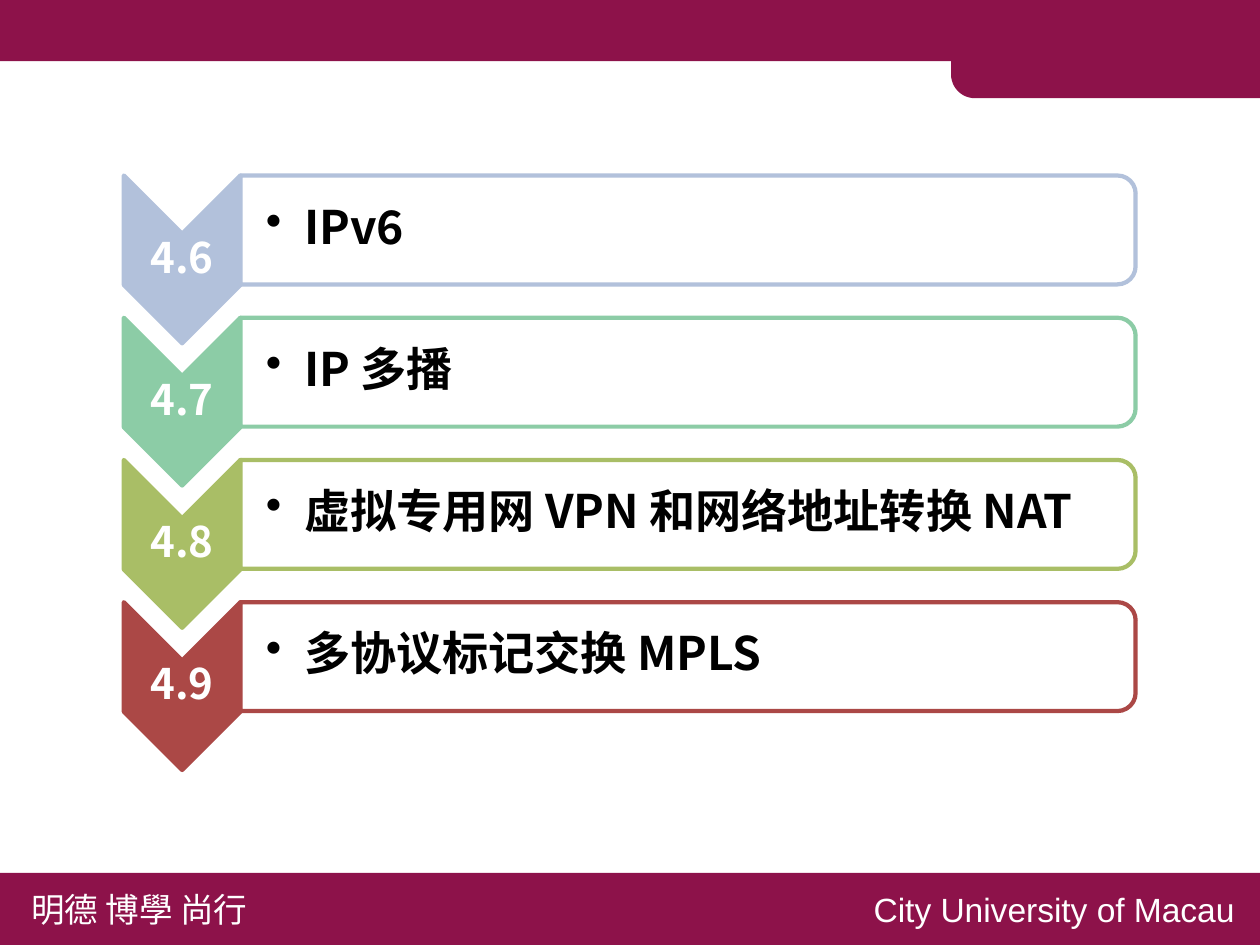
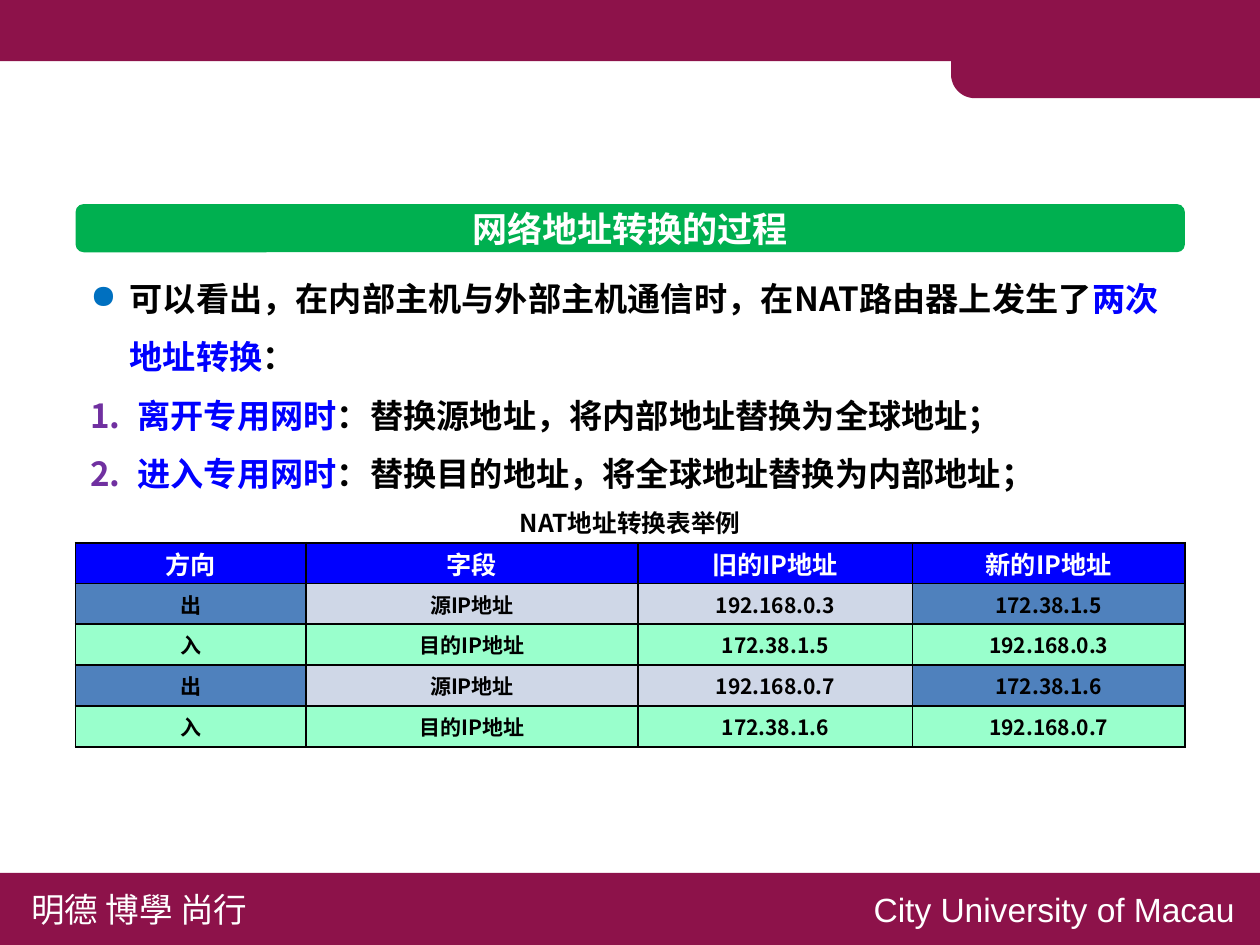
from lxml import etree
from pptx import Presentation
from pptx.dml.color import RGBColor
from pptx.enum.shapes import MSO_SHAPE
from pptx.enum.text import MSO_ANCHOR, PP_ALIGN
from pptx.oxml import parse_xml
from pptx.oxml.ns import nsdecls, qn
from pptx.util import Cm, Pt

RECT = MSO_SHAPE.RECTANGLE
ROUNDED = MSO_SHAPE.ROUNDED_RECTANGLE
TWO_ROUNDED = MSO_SHAPE.ROUND_2_SAME_RECTANGLE
CHEVRON = MSO_SHAPE.CHEVRON
LEFT, CENTER = PP_ALIGN.LEFT, PP_ALIGN.CENTER
MIDDLE = MSO_ANCHOR.MIDDLE

CJK_FONT = "Noto Sans CJK SC"
COLORS = {
    "brand": "8D124A", "white": "FFFFFF", "black": "000000",
    "key": "0000FF", "bullet": "0070C0", "number": "7030A0", "heading": "00B050",
    "ipv6": "B2C1DB", "multicast": "8CCCA6", "nat": "A9BE66", "mpls": "AB4846",
    "out_edge": "4F81BD", "out_middle": "CFD7E7", "in": "99FFCC",
}
RGB = {name: RGBColor.from_string(value) for name, value in COLORS.items()}


def add_panel(slide, preset, box, fill, line=None, rotation=0, adjustments=()):
    """Add a filled shape; box is what it covers, in cm, after a quarter turn too."""
    left, top, width, height = box
    if rotation:
        left, top = left + (width - height) / 2, top + (height - width) / 2
        width, height = height, width
    panel = slide.shapes.add_shape(preset, Cm(left), Cm(top), Cm(width), Cm(height))
    panel.rotation = rotation
    panel.shadow.inherit = False
    for index, value in enumerate(adjustments):
        panel.adjustments[index] = value
    panel.fill.solid()
    panel.fill.fore_color.rgb = RGB[fill]
    if line:
        panel.line.color.rgb = RGB[line]
        panel.line.width = Pt(2)
    else:
        panel.line.fill.background()
    return panel


def write(frame, spans, size, align=LEFT, bold=True, font=CJK_FONT,
          spacing=None, bullet=None):
    """Add a paragraph of (text, colour) spans; bullet is (indent in cm, colour, XML)."""
    frame.word_wrap = True
    paragraph = frame.paragraphs[0]
    if paragraph.runs:
        paragraph = frame.add_paragraph()
    properties = paragraph._p.get_or_add_pPr()
    if bullet:
        indent, color, mark = bullet
        properties.set("marL", str(Cm(indent)))
        properties.set("indent", str(-Cm(indent)))
        properties.append(parse_xml(
            f'<a:buClr {nsdecls("a")}><a:srgbClr val="{COLORS[color]}"/></a:buClr>'))
        properties.append(parse_xml(mark))
    paragraph.alignment = align
    if spacing:
        paragraph.line_spacing = spacing
    paragraph.font.size = Pt(size)
    paragraph.font.bold = bold
    paragraph.font.name = font
    etree.SubElement(properties.get_or_add_defRPr(), qn("a:ea")).set("typeface", font)
    for text, color in spans:
        run = paragraph.add_run()
        run.text = text
        run.font.color.rgb = RGB[color]


prs = Presentation()
prs.slide_width, prs.slide_height = Cm(21.17), Cm(15.88)
blank = prs.slide_layouts[6]
outline, process = [prs.slides.add_slide(blank) for _ in range(2)]

# Shared bands and footer, moved to the slide master
add_panel(outline, RECT, (-0.03, -0.03, 21.21, 1.06), "brand")
add_panel(outline, TWO_ROUNDED, (15.98, 0.05, 5.21, 1.6), "brand",
          rotation=270, adjustments=(0.25, 0))
add_panel(outline, RECT, (-0.05, 14.67, 21.25, 1.25), "brand")
for text, font, left, width in [("明德 博學 尚行", CJK_FONT, 0.28, 4.27),
                                ("City University of Macau", "Arial", 14.43, 6.65)]:
    footer = outline.shapes.add_textbox(Cm(left), Cm(14.81), Cm(width), Cm(0.94))
    write(footer.text_frame, [(text, "white")], 16, bold=False, font=font)
for number, shared in enumerate(list(outline.shapes), start=101):
    shared.element.nvSpPr.cNvPr.set("id", str(number))
    prs.slide_master.shapes.element.append(shared.element)

# Slide 1: chapter sections
DOT = f'<a:buChar {nsdecls("a")} char="•"/>'
SECTIONS = [
    ("4.6", "IPv6", "ipv6"),
    ("4.7", "IP 多播", "multicast"),
    ("4.8", "虚拟专用网 VPN 和网络地址转换 NAT", "nat"),
    ("4.9", "多协议标记交换 MPLS", "mpls"),
]
for index, (number, topic, color) in enumerate(SECTIONS):
    top = 2.95 + 2.39 * index
    add_panel(outline, CHEVRON, (2.08, top, 1.96, 2.82), color, color, 90, (0.5,))
    add_panel(outline, TWO_ROUNDED, (4.04, top, 15.04, 1.83), "white", color, 90,
              (0.167, 0))
    for text, text_color, box, size, margins, align, bullet in [
        (number, "white", (2.08, top + 0.99, 1.96, 0.84), 20, (0.03, 0.03), CENTER, None),
        (topic, "black", (4.04, top + 0.08, 14.94, 1.65), 22, (0.43, 0.05), LEFT,
         (0.64, "black", DOT)),
    ]:
        frame = outline.shapes.add_textbox(*map(Cm, box)).text_frame
        frame.vertical_anchor = MIDDLE
        frame.margin_left = Cm(margins[0])
        frame.margin_right = frame.margin_top = frame.margin_bottom = Cm(margins[1])
        write(frame, [(text, text_color)], size, align, spacing=0.9, bullet=bullet)

# Slide 2: address translation
LEFT_EDGE, CONTENT_WIDTH = 1.27, 18.64
heading = add_panel(process, ROUNDED, (LEFT_EDGE, 3.43, CONTENT_WIDTH, 0.81), "heading",
                    adjustments=(0.167,)).text_frame
heading.vertical_anchor = MIDDLE
heading.margin_top = heading.margin_bottom = 0
write(heading, [("网络地址转换的过程", "white")], 16.7, CENTER)

body = process.shapes.add_textbox(
    Cm(LEFT_EDGE), Cm(4.24), Cm(CONTENT_WIDTH), Cm(4.24)).text_frame
BALL = (0.66, "bullet", f'<a:buChar {nsdecls("a")} char="●"/>')
STEP = (0.79, "number", f'<a:buAutoNum {nsdecls("a")} type="arabicPeriod"/>')
for bullet, spans in [
    (BALL, [("可以看出，在内部主机与外部主机通信时，在NAT路由器上发生了", "black"),
            ("两次地址转换", "key"), ("：", "black")]),
    (STEP, [("离开专用网时", "key"),
            ("：替换源地址，将内部地址替换为全球地址；", "black")]),
    (STEP, [("进入专用网时", "key"),
            ("：替换目的地址，将全球地址替换为内部地址；", "black")]),
]:
    write(body, spans, 15.8, spacing=1.47, bullet=bullet)

caption = process.shapes.add_textbox(
    Cm(LEFT_EDGE), Cm(8.41), Cm(CONTENT_WIDTH), Cm(0.76))
write(caption.text_frame, [("NAT地址转换表举例", "black")], 11.7, CENTER)

HEADER_FILLS = ["key"] * 4
OUT_FILLS = ["out_edge", "out_middle", "out_middle", "out_edge"]
IN_FILLS = ["in"] * 4
TRANSLATIONS = [
    (HEADER_FILLS, ["方向", "字段", "旧的IP地址", "新的IP地址"]),
    (OUT_FILLS, ["出", "源IP地址", "192.168.0.3", "172.38.1.5"]),
    (IN_FILLS, ["入", "目的IP地址", "172.38.1.5", "192.168.0.3"]),
    (OUT_FILLS, ["出", "源IP地址", "192.168.0.7", "172.38.1.6"]),
    (IN_FILLS, ["入", "目的IP地址", "172.38.1.6", "192.168.0.7"]),
]
table = process.shapes.add_table(
    len(TRANSLATIONS), 4, Cm(LEFT_EDGE), Cm(9.12), Cm(CONTENT_WIDTH), Cm(3.43)).table
for column, width in zip(table.columns, [3.87, 5.58, 4.61, 4.58]):
    column.width = Cm(width)
for row, (fills, texts) in enumerate(TRANSLATIONS):
    size, color = (10, "black") if row else (12, "white")
    for column, (fill, text) in enumerate(zip(fills, texts)):
        cell = table.cell(row, column)
        cell.vertical_anchor = MIDDLE
        cell.margin_left = cell.margin_right = Cm(0.15)
        cell.margin_top = cell.margin_bottom = 0
        write(cell.text_frame, [(text, color)], size, CENTER)
        for side in ("lnL", "lnR", "lnT", "lnB"):
            cell._tc.get_or_add_tcPr().append(parse_xml(
                f'<a:{side} {nsdecls("a")} w="{Pt(1)}"><a:solidFill>'
                f'<a:srgbClr val="{COLORS["black"]}"/></a:solidFill></a:{side}>'))
        cell.fill.solid()
        cell.fill.fore_color.rgb = RGB[fill]

prs.save("out.pptx")
